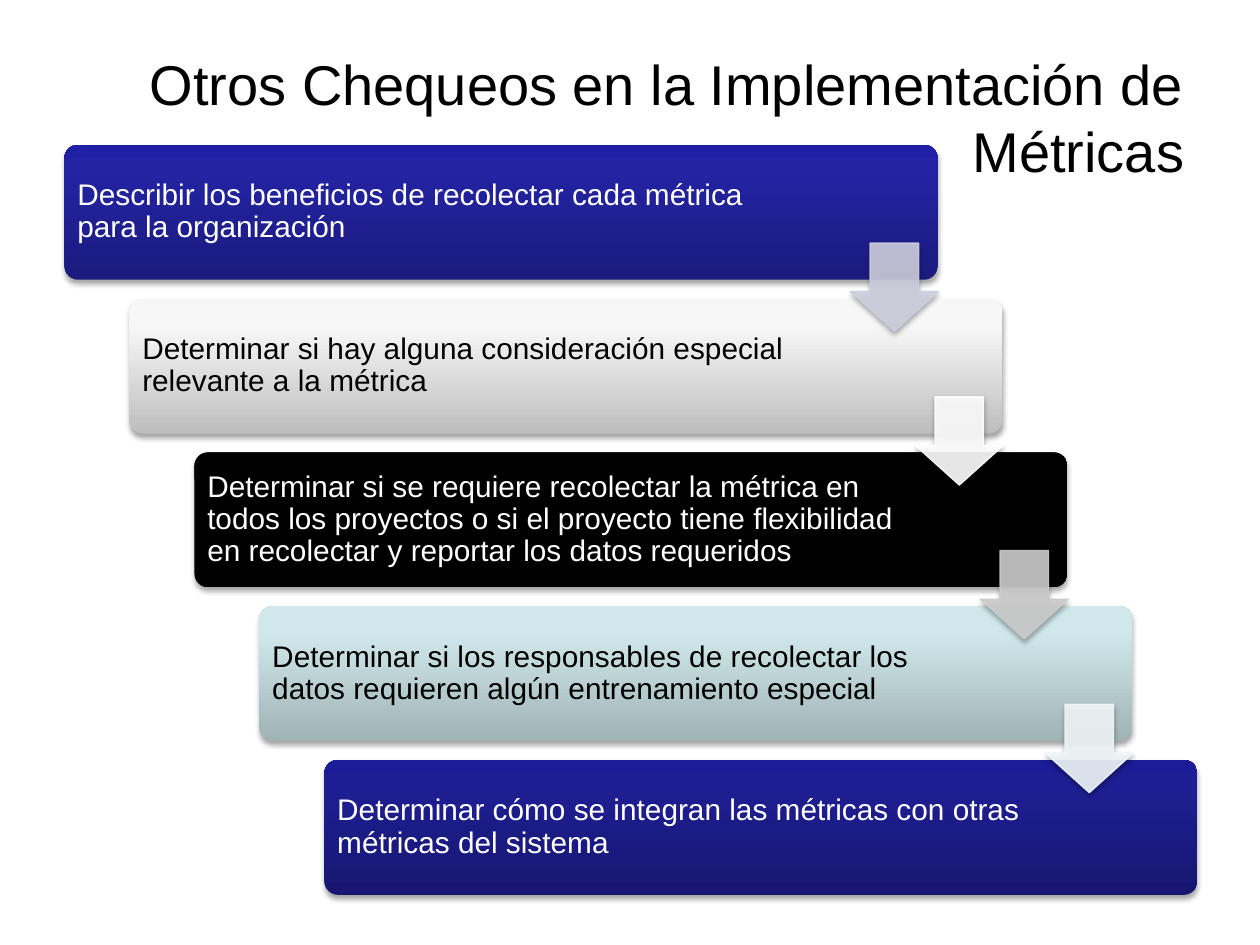
"""Build the slide of stepped checks for putting metrics in place."""
from copy import deepcopy

from lxml import etree
from pptx import Presentation
from pptx import util as u
from pptx.dml.color import RGBColor
from pptx.enum import shapes, text
from pptx.oxml.ns import qn

BLACK = RGBColor(0x00, 0x00, 0x00)
WHITE = RGBColor(0xFF, 0xFF, 0xFF)
BLUE = [RGBColor(0x1B, 0x1B, 0x7E), RGBColor(0x23, 0x23, 0xA3), RGBColor(0x20, 0x20, 0xA6)]
GREY = [RGBColor(0xBE, 0xBE, 0xBE), RGBColor(0xF7, 0xF7, 0xF7), RGBColor(0xF8, 0xF8, 0xF8)]
TEAL = [RGBColor(0xA0, 0xB3, 0xB5), RGBColor(0xD0, 0xE8, 0xEB), RGBColor(0xD1, 0xEA, 0xEC)]
NAVY = [RGBColor(0x17, 0x17, 0x71), RGBColor(0x1E, 0x1E, 0x93), RGBColor(0x1C, 0x1C, 0x96)]
LILAC = RGBColor(0xCE, 0xCE, 0xDE)
SILVER = RGBColor(0xCC, 0xCC, 0xCC)
ICE = RGBColor(0xF1, 0xF8, 0xF9)


def write(frame, words, size, color):
    para = frame.paragraphs[0]
    run = para.add_run()
    run.text = words
    run.font.name = "Arial"
    run.font.size = u.Pt(size)
    run.font.color.rgb = color
    return para


def shade(shape):
    shape.shadow.inherit = False
    effect = shape.element.spPr.find(qn("a:effectLst"))
    outer = etree.SubElement(effect, qn("a:outerShdw"), blurRad="40000", dist="23000",
                             dir="5400000", rotWithShape="0")
    tone = etree.SubElement(outer, qn("a:srgbClr"), val=str(BLACK))
    etree.SubElement(tone, qn("a:alpha"), val="35000")


deck = Presentation()
deck.slide_width, deck.slide_height = u.Cm(25.4), u.Cm(19.05)
slide = deck.slides.add_slide(deck.slide_layouts[5])

title = slide.shapes.title
title.left, title.top = u.Cm(1.27), u.Cm(0.76)
title.width, title.height = u.Cm(22.86), u.Cm(3.18)
title.text_frame.auto_size = text.MSO_AUTO_SIZE.NONE
title.text_frame.vertical_anchor = text.MSO_ANCHOR.MIDDLE
head = write(title.text_frame, "Otros Chequeos en la Implementación de Métricas", 32, BLACK)
head.alignment = text.PP_ALIGN.RIGHT

steps = [
    ("Describir los beneficios de recolectar cada métrica para la organización", BLUE, WHITE),
    ("Determinar si hay alguna consideración especial relevante a la métrica", GREY, BLACK),
    ("Determinar si se requiere recolectar la métrica en todos los proyectos o si el proyecto "
     "tiene flexibilidad en recolectar y reportar los datos requeridos", [BLACK] * 3, WHITE),
    ("Determinar si los responsables de recolectar los datos requieren algún entrenamiento "
     "especial", TEAL, BLACK),
    ("Determinar cómo se integran las métricas con otras métricas del sistema", NAVY, WHITE),
]
for i, (words, tones, ink) in enumerate(steps):
    box = slide.shapes.add_shape(shapes.MSO_SHAPE.ROUNDED_RECTANGLE, u.Cm(1.3 + 1.31 * i),
                                 u.Cm(2.92 + 3.1 * i), u.Cm(17.6), u.Cm(2.72))
    box.adjustments[0] = 0.1
    box.fill.gradient()
    box.fill.gradient_angle = 90
    stops = box.element.spPr.find(qn("a:gradFill")).find(qn("a:gsLst"))
    stops.append(deepcopy(stops[-1]))
    for stop, place, tone in zip(box.fill.gradient_stops, (0, 0.8, 1), tones):
        stop.position = place
        stop.color.rgb = tone
    box.line.fill.background()
    shade(box)
    frame = box.text_frame
    frame.word_wrap = True
    frame.vertical_anchor = text.MSO_ANCHOR.MIDDLE
    frame.margin_left = frame.margin_top = frame.margin_bottom = u.Cm(0.18)
    frame.margin_right = u.Cm(3.25)
    para = write(frame, words, 17, ink)
    para.alignment = text.PP_ALIGN.LEFT
    para.line_spacing = 0.9

for i, tone in enumerate([LILAC, WHITE, SILVER, ICE]):
    arrow = slide.shapes.add_shape(shapes.MSO_SHAPE.DOWN_ARROW, u.Cm(17.14 + 1.31 * i),
                                   u.Cm(4.9 + 3.1 * i), u.Cm(1.78), u.Cm(1.78))
    arrow.adjustments[0], arrow.adjustments[1] = 0.55, 0.45
    arrow.fill.solid()
    arrow.fill.fore_color.rgb = tone
    arrow.line.color.rgb = tone
    arrow.line.width = u.Pt(0.75)
    for paint in arrow.element.spPr.iter(qn("a:srgbClr")):
        etree.SubElement(paint, qn("a:alpha"), val="90000")
    shade(arrow)

deck.save("out.pptx")
